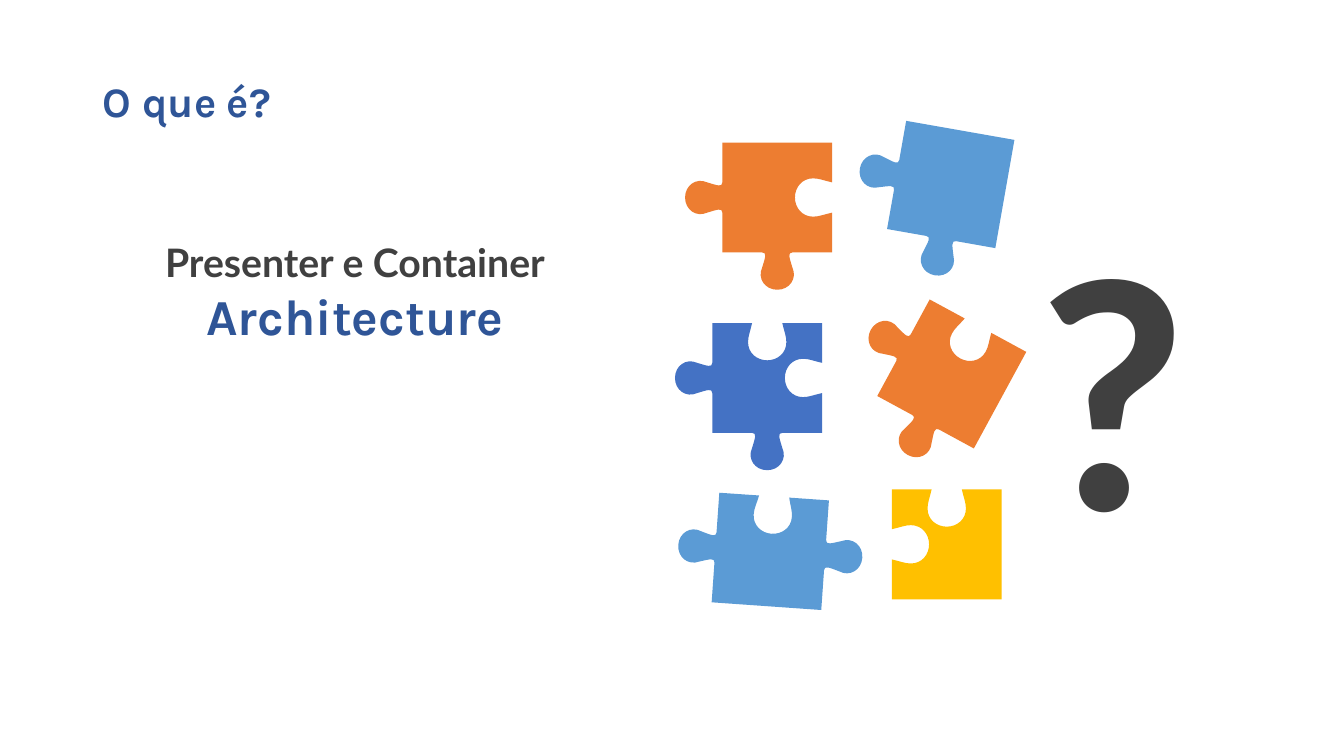
"""Build the slide that introduces the Presenter e Container architecture."""
import math

import pptx
import pptx.dml.color
import pptx.enum.text
import pptx.oxml
import pptx.oxml.ns
import pptx.util

Inches = pptx.util.Inches

THEME = {
    "blue": "2F5597", "dark": "404040", "sky": "5B9BD5",
    "orange": "ED7D31", "indigo": "4472C4", "yellow": "FFC000",
    "subtitle": 28, "title": 30, "name": 36, "question": 239,
}


def color_of(name):
    return pptx.dml.color.RGBColor.from_string(THEME[name])


def write_text(paragraph, text, font, size, color, align="CENTER"):
    paragraph.alignment = getattr(pptx.enum.text.PP_ALIGN, align)
    run = paragraph.add_run()
    run.text = text
    run.font.name = font
    run.font.size = pptx.util.Pt(THEME[size])
    run.font.bold = True
    run.font.color.rgb = color_of(color)


presentation = pptx.Presentation()
presentation.slide_width = Inches(13.33)
presentation.slide_height = Inches(7.5)
slide = presentation.slides.add_slide(presentation.slide_layouts[5])

title = slide.shapes.title
title.left, title.top = Inches(0.92), Inches(0.76)
title.width, title.height = Inches(8.39), Inches(0.58)
title.text_frame.auto_size = pptx.enum.text.MSO_AUTO_SIZE.NONE
title.text_frame.vertical_anchor = pptx.enum.text.MSO_ANCHOR.TOP
title.text_frame.paragraphs[0].line_spacing = 0.9
write_text(title.text_frame.paragraphs[0], "O que é?", font="Karla",
           size="title", color="blue", align="LEFT")

text_boxes = [
    ((10.1, 1.7, 1.85, 4.12), [("?", "Calibri", "question", "dark")]),
    ((0.6, 2.31, 5.84, 1.18), [
        ("Presenter e Container", "Lato", "subtitle", "dark"),
        ("Architecture", "Karla", "name", "blue"),
    ]),
]
for box, lines in text_boxes:
    frame = slide.shapes.add_textbox(*map(Inches, box)).text_frame
    frame.word_wrap = True
    frame.auto_size = pptx.enum.text.MSO_AUTO_SIZE.SHAPE_TO_FIT_TEXT
    for index, (text, font, size, color) in enumerate(lines):
        paragraph = frame.add_paragraph() if index else frame.paragraphs[0]
        write_text(paragraph, text, font=font, size=size, color=color)

half_profiles = {
    "flat": [],
    "tab": [(0.15, 0), (0.1, 0), (0.12, 0.05), (0.15, 0.15),
            (0.2, 0.26), (0.12, 0.37), (0, 0.37)],
    "socket": [(0.15, 0), (0.17, -0.09), (0.19, -0.13), (0.19, -0.19),
               (0.19, -0.3), (0.1, -0.37), (0, -0.37)],
}
profiles = {
    kind: [(-along, out) for along, out in half] + half[-2::-1]
    for kind, half in half_profiles.items()
}

HALF_SIDE = 1.09 / 2
pieces = [
    (9.43, 1.83, 10, "sky", ("flat", "flat", "tab", "tab")),
    (7.64, 5.47, 4, "sky", ("socket", "tab", "flat", "tab")),
    (9.44, 3.71, 28.5, "orange", ("socket", "flat", "tab", "tab")),
    (7.71, 1.96, 0, "orange", ("flat", "socket", "tab", "tab")),
    (7.61, 3.75, 0, "indigo", ("socket", "socket", "tab", "tab")),
    (9.39, 5.4, 0, "yellow", ("socket", "flat", "flat", "socket")),
]
for center_x, center_y, tilt, color, edges in pieces:
    outline = []
    curved = []
    for side, edge in enumerate(edges):
        angle = math.radians(tilt + 90 * side)
        for index, (along, out) in enumerate([(-HALF_SIDE, 0)] + profiles[edge]):
            up = HALF_SIDE + out
            outline.append((
                Inches(center_x + along * math.cos(angle) + up * math.sin(angle)),
                Inches(center_y + along * math.sin(angle) - up * math.cos(angle)),
            ))
            curved.append(index > 1)
    builder = slide.shapes.build_freeform(*outline[0])
    builder.add_line_segments(outline[1:], close=True)
    piece = builder.convert_to_shape()
    piece.shadow.inherit = False
    piece.fill.solid()
    piece.fill.fore_color.rgb = color_of(color)
    piece.line.fill.background()

    segments = list(piece.element.iter(pptx.oxml.ns.qn("a:lnTo")))
    curve_parts = [segment for segment, bends in zip(segments, curved[1:]) if bends]
    for start in range(0, len(curve_parts), 3):
        curve = pptx.oxml.parse_xml(f"<a:cubicBezTo {pptx.oxml.ns.nsdecls('a')}/>")
        curve_parts[start].addprevious(curve)
        for segment in curve_parts[start:start + 3]:
            curve.append(segment[0])
            segment.getparent().remove(segment)

presentation.save("out.pptx")
